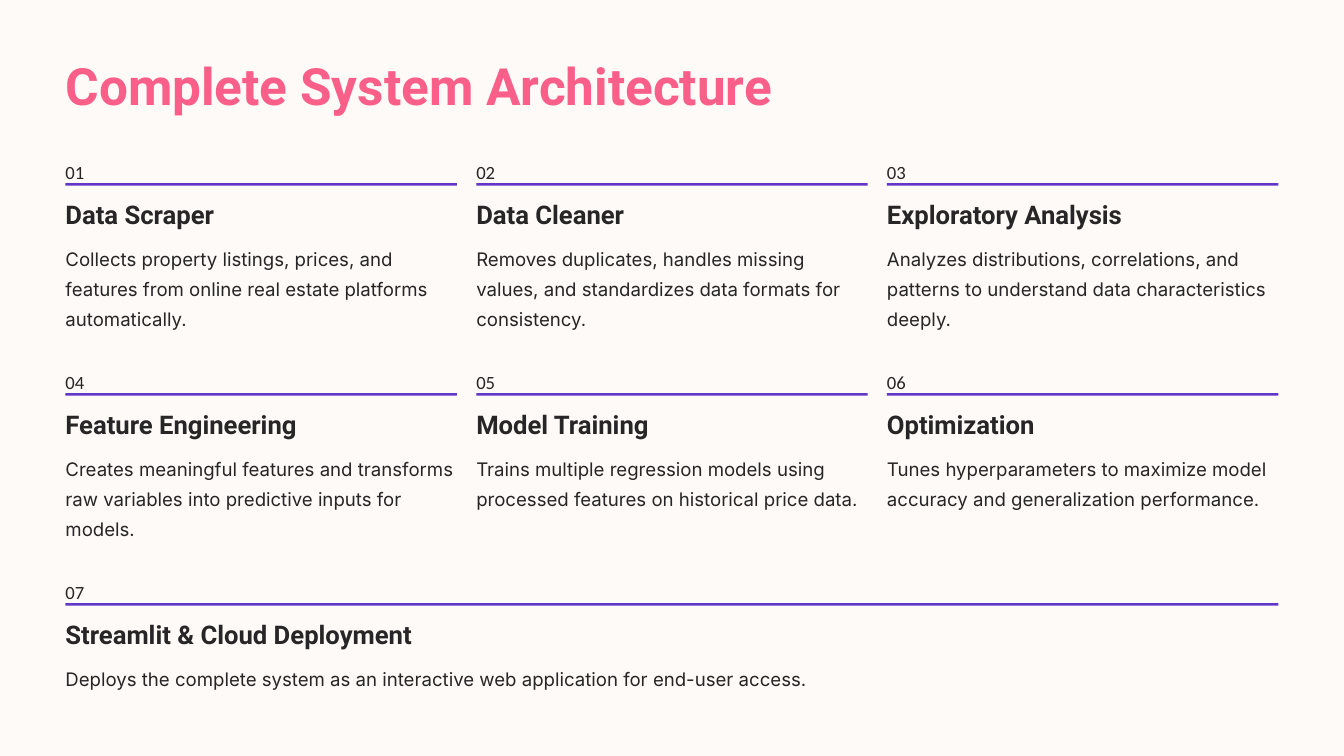
from dataclasses import dataclass

from pptx import Presentation
from pptx import util as u
from pptx.dml.color import RGBColor
from pptx.enum import shapes, text


@dataclass(frozen=True)
class TextStyle:
    font: str
    size: float
    leading: float
    color: str
    bold: bool = False


@dataclass(frozen=True)
class Theme:
    background: str = "FDFAF7"
    rule: str = "6237C8"
    title: TextStyle = TextStyle("Roboto", 44, 55, "F95F88", True)
    number: TextStyle = TextStyle("Calibri", 16, 25.5, "272525")
    heading: TextStyle = TextStyle("Roboto", 22, 27.5, "272525", True)
    body: TextStyle = TextStyle("Inter", 16, 25.7, "272525")


class SlideBuilder:
    def __init__(self, page, theme):
        self.page = page
        self.theme = theme

    def panel(self, color, left, top, width, height):
        bar = self.page.shapes.add_shape(
            shapes.MSO_SHAPE.RECTANGLE,
            u.Inches(left), u.Inches(top), u.Inches(width), u.Inches(height))
        bar.shadow.inherit = False
        bar.fill.solid()
        bar.fill.fore_color.rgb = RGBColor.from_string(color)
        bar.line.fill.background()

    def label(self, words, style, left, top, width, height, wrap=False):
        box = self.page.shapes.add_textbox(
            u.Inches(left), u.Inches(top), u.Inches(width), u.Inches(height))
        frame = box.text_frame
        frame.margin_left = frame.margin_right = 0
        frame.margin_top = frame.margin_bottom = 0
        frame.word_wrap = wrap
        frame.vertical_anchor = text.MSO_ANCHOR.TOP
        para = frame.paragraphs[0]
        para.text = words
        para.alignment = text.PP_ALIGN.LEFT
        para.line_spacing = u.Pt(style.leading)
        para.font.name = style.font
        para.font.size = u.Pt(style.size)
        para.font.bold = style.bold
        para.font.color.rgb = RGBColor.from_string(style.color)

    def step(self, number, heading, body, left, top, width):
        self.label(f"{number:02d}", self.theme.number, left, top, 0.3, 0.28)
        self.panel(self.theme.rule, left, top + 0.35, width, 0.03)
        self.label(heading, self.theme.heading, left, top + 0.52, width, 0.38)
        self.label(body, self.theme.body, left, top + 1.03, width, 1.07, wrap=True)


STEPS = [
    ("Data Scraper", "Collects property listings, prices, and features from "
     "online real estate platforms automatically."),
    ("Data Cleaner", "Removes duplicates, handles missing values, and "
     "standardizes data formats for consistency."),
    ("Exploratory Analysis", "Analyzes distributions, correlations, and "
     "patterns to understand data characteristics deeply."),
    ("Feature Engineering", "Creates meaningful features and transforms raw "
     "variables into predictive inputs for models."),
    ("Model Training", "Trains multiple regression models using processed "
     "features on historical price data."),
    ("Optimization", "Tunes hyperparameters to maximize model accuracy and "
     "generalization performance."),
    ("Streamlit & Cloud Deployment", "Deploys the complete system as an "
     "interactive web application for end-user access."),
]

# Grid: three columns, with the last step across the full width
PAGE_WIDTH, PAGE_HEIGHT = 16, 9
COLUMNS = 3
LEFT, TOP = 0.78, 1.83
FULL_WIDTH, GAP = 14.44, 0.23
COLUMN_WIDTH = (FULL_WIDTH - GAP * (COLUMNS - 1)) / COLUMNS
ROW_PITCH = 2.5


def main():
    deck = Presentation()
    deck.slide_width = u.Inches(PAGE_WIDTH)
    deck.slide_height = u.Inches(PAGE_HEIGHT)
    theme = Theme()
    builder = SlideBuilder(deck.slides.add_slide(deck.slide_layouts[6]), theme)

    # Background and title
    builder.panel(theme.background, 0, 0, PAGE_WIDTH, PAGE_HEIGHT)
    builder.label("Complete System Architecture", theme.title,
                  LEFT, 0.61, 13.14, 0.77)

    # Numbered steps
    for index, (heading, body) in enumerate(STEPS):
        row, column = divmod(index, COLUMNS)
        is_last = index == len(STEPS) - 1
        builder.step(index + 1, heading, body,
                     LEFT + column * (COLUMN_WIDTH + GAP),
                     TOP + row * ROW_PITCH,
                     FULL_WIDTH if is_last else COLUMN_WIDTH)

    deck.save("out.pptx")


if __name__ == "__main__":
    main()
